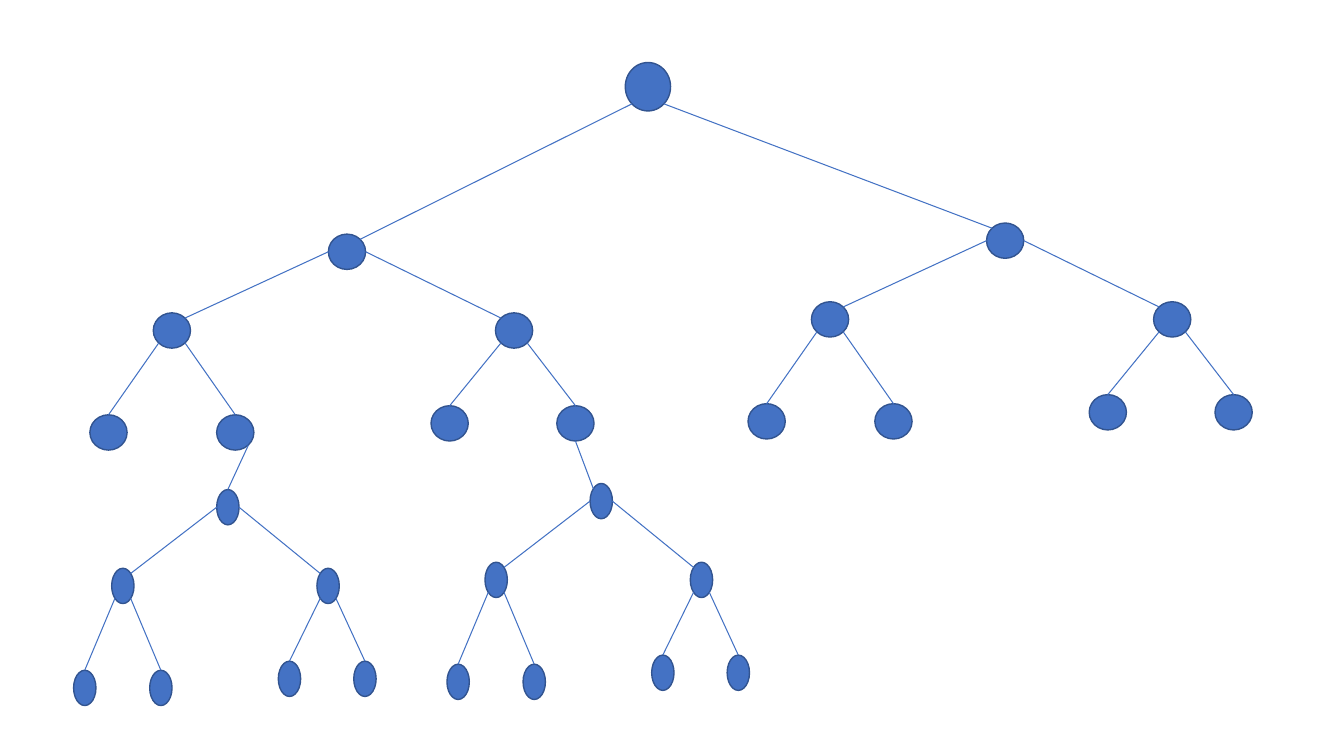
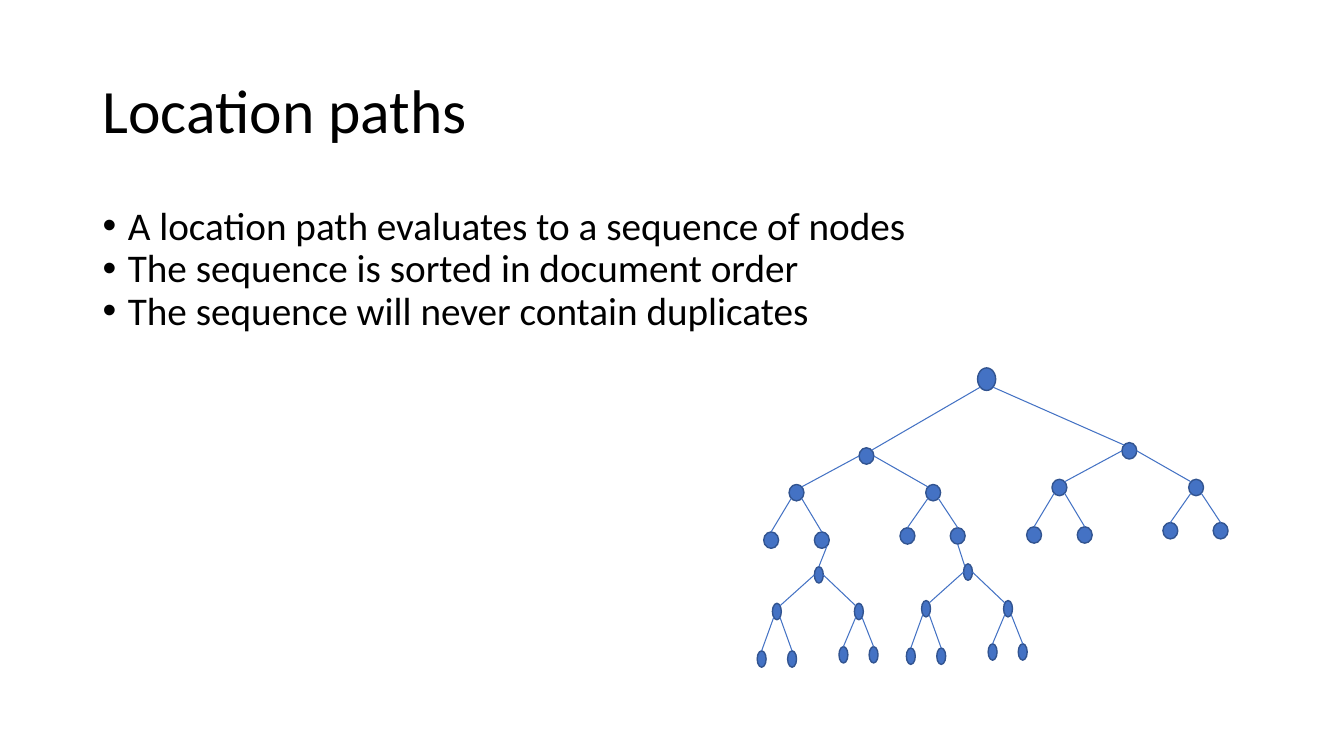
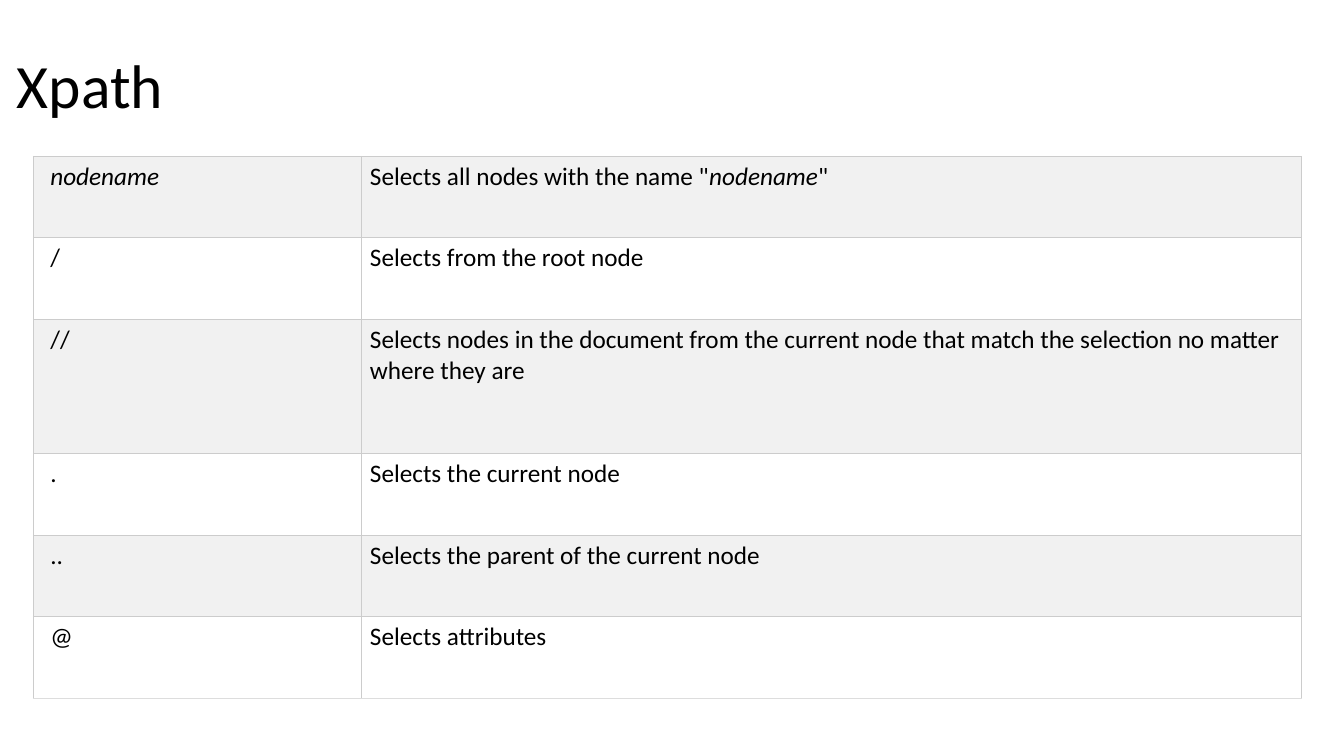
from dataclasses import dataclass
from math import sqrt

from lxml.etree import SubElement
from pptx import Presentation
from pptx.dml.color import RGBColor
from pptx.enum.shapes import MSO_CONNECTOR, MSO_SHAPE
from pptx.enum.text import MSO_ANCHOR
from pptx.oxml import parse_xml
from pptx.oxml.ns import nsdecls, qn
from pptx.util import Inches, Pt

DIAGONAL = sqrt(0.5)
SITES = {"N": (0, -1), "S": (0, 1), "W": (-1, 0), "E": (1, 0),
         "NW": (-DIAGONAL, -DIAGONAL), "NE": (DIAGONAL, -DIAGONAL),
         "SW": (-DIAGONAL, DIAGONAL), "SE": (DIAGONAL, DIAGONAL)}


def rgb(color):
    return RGBColor.from_string(color)


class Deck:
    FONT = "Calibri"
    TEXT = "000000"
    NODE, NODE_EDGE = "4472C4", "325490"
    BANDS = ("F1F1F1", "FFFFFF")
    GRID, GRID_END = "CCCCCC", "DDDDDD"

    def __init__(self):
        self.prs = Presentation()
        self.prs.slide_width = Inches(13.33)
        self.prs.slide_height = Inches(7.5)
        self.s = None

    def new_slide(self):
        self.s = self.prs.slides.add_slide(self.prs.slide_layouts[6])

    def run(self, p, text, size, italic=False):
        r = p.add_run()
        r.text = text
        r.font.name = self.FONT
        r.font.size = Pt(size)
        r.font.italic = italic
        r.font.color.rgb = rgb(self.TEXT)

    def text_frame(self, left, top, width, height):
        box = self.s.shapes.add_textbox(Inches(left), Inches(top),
                                        Inches(width), Inches(height))
        tf = box.text_frame
        tf.word_wrap = True
        return tf

    def title(self, text, left, top):
        tf = self.text_frame(left, top, 11.5, 1.45)
        tf.vertical_anchor = MSO_ANCHOR.MIDDLE
        p = tf.paragraphs[0]
        p.line_spacing = 0.9
        self.run(p, text, 44)

    def bullets(self, lines, left, top, width, height):
        tf = self.text_frame(left, top, width, height)
        for i, line in enumerate(lines):
            p = tf.add_paragraph() if i else tf.paragraphs[0]
            p.line_spacing = 0.9
            pPr = p._p.get_or_add_pPr()
            pPr.set("marL", str(Inches(0.25)))
            pPr.set("indent", str(-Inches(0.25)))
            SubElement(pPr, qn("a:buFont")).set("typeface", "Arial")
            SubElement(pPr, qn("a:buChar")).set("char", "•")
            self.run(p, line, 28)

    def ellipse(self, left, top, width, height):
        sp = self.s.shapes.add_shape(MSO_SHAPE.OVAL, Inches(left), Inches(top),
                                     Inches(width), Inches(height))
        sp.shadow.inherit = False
        sp.fill.solid()
        sp.fill.fore_color.rgb = rgb(self.NODE)
        sp.line.color.rgb = rgb(self.NODE_EDGE)
        sp.line.width = Pt(1)

    def line(self, x1, y1, x2, y2):
        c = self.s.shapes.add_connector(MSO_CONNECTOR.STRAIGHT, Inches(x1), Inches(y1),
                                        Inches(x2), Inches(y2))
        c.line.color.rgb = rgb(self.NODE)
        c.line.width = Pt(0.75)
        SubElement(c._element.spPr, qn("a:effectLst"))

    def borders(self, cell, bottom):
        tcPr = cell._tc.get_or_add_tcPr()
        colors = {"lnL": self.GRID, "lnR": self.GRID, "lnT": self.GRID, "lnB": bottom}
        for i, (tag, color) in enumerate(colors.items()):
            tcPr.insert(i, parse_xml(
                f'<a:{tag} {nsdecls("a")} w="{Pt(0.75)}"><a:solidFill>'
                f'<a:srgbClr val="{color}"/></a:solidFill></a:{tag}>'))

    def table(self, rows, left, top, widths, heights):
        """Fill a banded table; text between asterisks is italic."""
        frame = self.s.shapes.add_table(len(rows), len(widths), Inches(left), Inches(top),
                                        Inches(sum(widths)), Inches(sum(heights)))
        table = frame.table
        table.first_row = table.horz_banding = False
        for column, width in zip(table.columns, widths):
            column.width = Inches(width)
        for i, (texts, height) in enumerate(zip(rows, heights)):
            table.rows[i].height = Inches(height)
            for j, text in enumerate(texts):
                cell = table.cell(i, j)
                cell.margin_left = Inches(0.08 if j else 0.17)
                cell.margin_right = Inches(0.08)
                cell.margin_top = cell.margin_bottom = Inches(0.05)
                cell.fill.solid()
                cell.fill.fore_color.rgb = rgb(self.BANDS[i % 2])
                self.borders(cell, self.GRID_END if i == len(rows) - 1 else self.GRID)
                for k, part in enumerate(text.split("*")):
                    if part:
                        self.run(cell.text_frame.paragraphs[0], part, 18, k % 2 == 1)


@dataclass
class Node:
    x: float
    y: float
    w: float = 0.37
    h: float = 0.35

    def site(self, name):
        dx, dy = SITES[name]
        return self.x + self.w / 2 * (1 + dx), self.y + self.h / 2 * (1 + dy)


def branch(x, y, stretch=1):
    """Return the nodes (top, left, right, four leaves) and edges of a branch."""
    offsets = [(0, 0), (-1.74, 0.78), (1.66, 0.78),
               (-2.37, 1.79), (-1.11, 1.79), (1.02, 1.7), (2.27, 1.7)]
    nodes = [Node(x + dx * stretch, y + dy, 0.37 * stretch) for dx, dy in offsets]
    top, left, right, *leaves = nodes
    edges = [(top.site("W"), left.site("NE")), (top.site("E"), right.site("NW"))]
    for i, leaf in enumerate(leaves):
        parent = (left, right)[i // 2]
        edges.append((parent.site(("SW", "SE")[i % 2]), leaf.site("N")))
    return nodes, edges


def document_tree():
    root = Node(6.19, 0.62, 0.45, 0.48)
    narrow = 0.6
    branches = [branch(3.24, 2.32), branch(9.78, 2.21),
                branch(2.13, 4.85, narrow), branch(5.84, 4.79, narrow)]
    west, east, lower_west, lower_east = [nodes for nodes, _ in branches]
    nodes = [root] + [n for group, _ in branches for n in group]
    edges = [e for _, group in branches for e in group]
    edges += [(root.site("SW"), west[0].site("NE")),
              (root.site("SE"), east[0].site("NW")),
              (west[4].site("SE"), lower_west[0].site("N")),
              (west[6].site("S"), lower_east[0].site("NW"))]
    return nodes, edges


def draw_tree(deck, left, top, width, height):
    """Draw the document tree stretched to the given box."""
    nodes, edges = document_tree()
    x0, y0 = min(n.x for n in nodes), min(n.y for n in nodes)
    kx = width / (max(n.x + n.w for n in nodes) - x0)
    ky = height / (max(n.y + n.h for n in nodes) - y0)

    def place(x, y):
        return left + (x - x0) * kx, top + (y - y0) * ky

    for n in nodes:
        deck.ellipse(*place(n.x, n.y), n.w * kx, n.h * ky)
    for start, end in edges:
        deck.line(*place(*start), *place(*end))


def main():
    deck = Deck()

    deck.new_slide()
    draw_tree(deck, 0.73, 0.62, 11.69, 6.38)

    deck.new_slide()
    deck.title("Location paths", 0.92, 0.4)
    deck.bullets(["A location path evaluates to a sequence of nodes",
                  "The sequence is sorted in document order",
                  "The sequence will never contain duplicates"], 0.92, 2, 11.5, 4.76)
    draw_tree(deck, 7.51, 3.65, 4.67, 2.97)

    deck.new_slide()
    deck.title("Xpath", 0.07, 0.15)
    deck.table([
        ("*nodename*", 'Selects all nodes with the name "*nodename*"'),
        ("/", "Selects from the root node"),
        ("//", "Selects nodes in the document from the current node that match "
               "the selection no matter where they are"),
        (".", "Selects the current node"),
        ("..", "Selects the parent of the current node"),
        ("@", "Selects attributes"),
    ], 0.33, 1.55, [3.26, 9.32], [0.81, 0.81, 1.33, 0.81, 0.81, 0.81])

    deck.prs.save("out.pptx")


if __name__ == "__main__":
    main()
